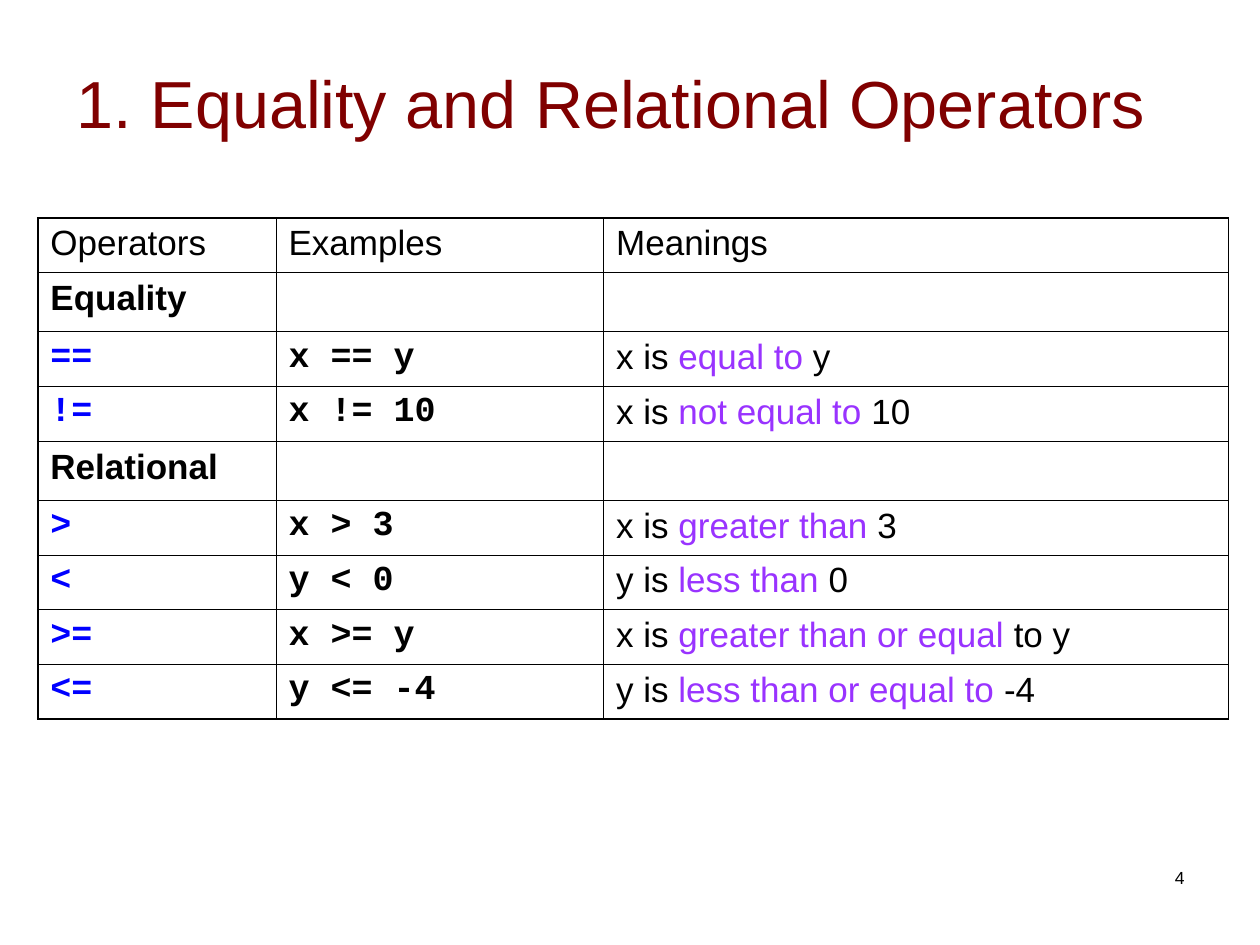
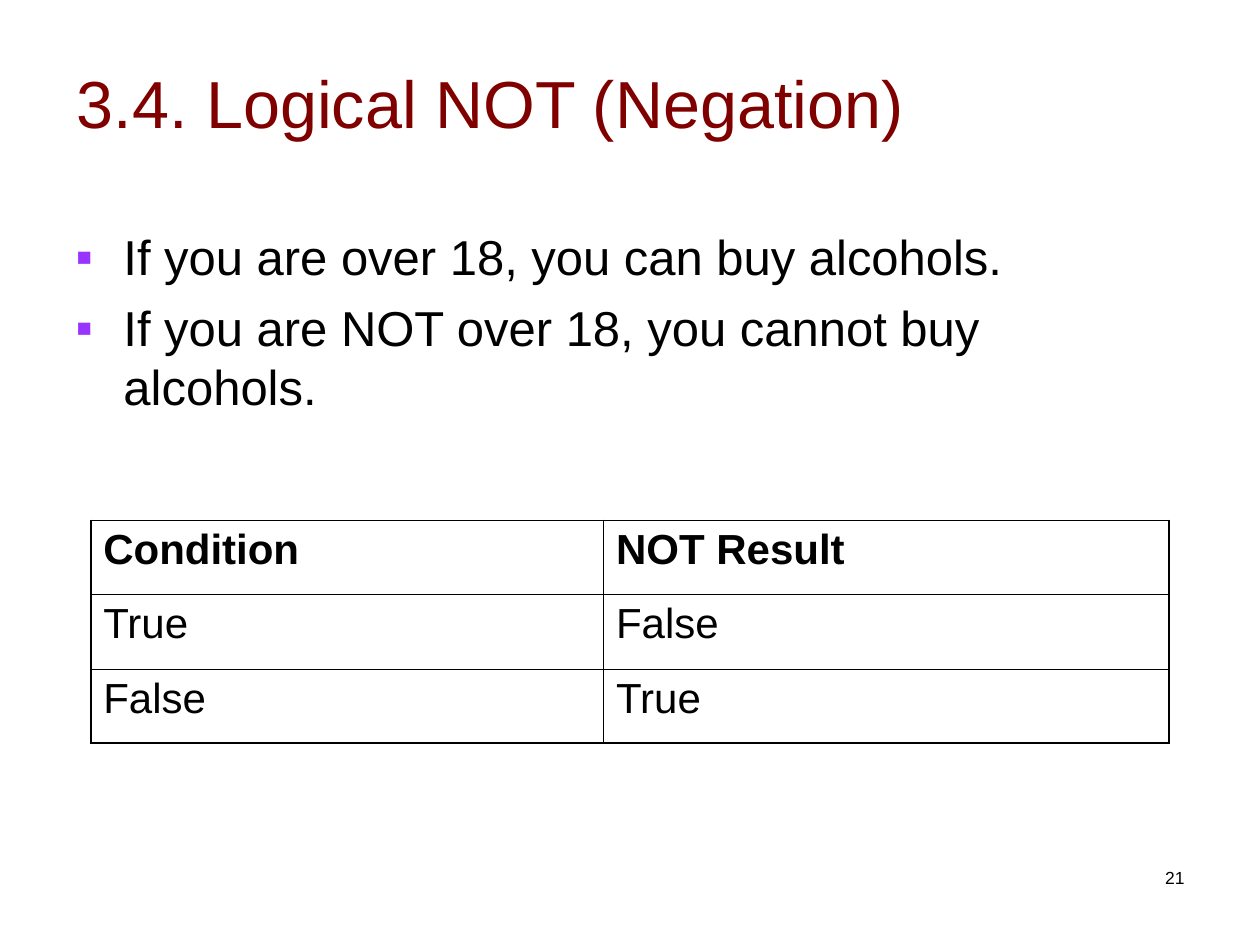
from lxml import etree
from pptx import Presentation
from pptx.dml.color import RGBColor
from pptx.enum.text import MSO_ANCHOR, MSO_AUTO_SIZE, PP_ALIGN
from pptx.oxml.ns import qn
from pptx.util import Inches, Pt

LEFT, RIGHT = PP_ALIGN.LEFT, PP_ALIGN.RIGHT
TOP, MIDDLE = MSO_ANCHOR.TOP, MSO_ANCHOR.MIDDLE
NO_AUTOFIT = MSO_AUTO_SIZE.NONE

COLORS = {
    "title": "800000",
    "text": "000000",
    "operator": "0000FF",
    "accent": "9933FF",
    "line": "000000",
}
SANS, MONO = "Arial", "Courier New"
OUTER, INNER = Pt(1.08), Pt(0.45)
TITLE_ONLY, TITLE_AND_BODY = 5, 1


def style(font, size, color="text", name=SANS, bold=False):
    font.name = name
    font.size = Pt(size)
    font.bold = bold
    font.color.rgb = RGBColor.from_string(COLORS[color])


def add_grid(page, left, top, widths, heights):
    frame = page.shapes.add_table(
        len(heights), len(widths), Inches(left), Inches(top),
        Inches(sum(widths)), Inches(sum(heights)))
    table = frame.table
    table.first_row = False
    table.horz_banding = False
    for column, width in zip(table.columns, widths):
        column.width = Inches(width)
    for row, height in zip(table.rows, heights):
        row.height = Inches(height)
    last_row, last_column = len(heights) - 1, len(widths) - 1
    for r in range(len(heights)):
        for c in range(len(widths)):
            cell = table.cell(r, c)
            cell.fill.background()
            edges = {"lnL": c == 0, "lnR": c == last_column,
                     "lnT": r == 0, "lnB": r == last_row}
            properties = cell._tc.get_or_add_tcPr()
            for position, (edge, is_outer) in enumerate(edges.items()):
                line = etree.Element(qn(f"a:{edge}"), w=str(OUTER if is_outer else INNER))
                fill = etree.SubElement(line, qn("a:solidFill"))
                etree.SubElement(fill, qn("a:srgbClr"), val=COLORS["line"])
                properties.insert(position, line)
    return table


deck = Presentation()
deck.slide_width, deck.slide_height = Inches(10), Inches(7.5)

pages = []
for layout, title, number in [
    (TITLE_ONLY, "1. Equality and Relational Operators", "4"),
    (TITLE_AND_BODY, "3.4. Logical NOT (Negation)", "21"),
]:
    page = deck.slides.add_slide(deck.slide_layouts[layout])
    pages.append(page)
    heading = page.shapes.title
    heading.left, heading.top = Inches(0.51), Inches(0.18)
    heading.width, heading.height = Inches(9), Inches(1.25)
    heading.text_frame.text = title
    heading.text_frame.auto_size = NO_AUTOFIT
    heading.text_frame.vertical_anchor = MIDDLE
    para = heading.text_frame.paragraphs[0]
    para.alignment = LEFT
    style(para.font, 38, "title")

    number_box = page.shapes.add_textbox(Inches(7.17), Inches(6.83), Inches(2.33), Inches(0.5))
    number_box.text_frame.word_wrap = True
    para = number_box.text_frame.paragraphs[0]
    para.text = number
    para.alignment = RIGHT
    style(para.font, 10)

operators_page, negation_page = pages

operator_rows = [
    ("Operators", "Examples", ["Meanings"]),
    ("Equality", "", []),
    ("==", "x == y", ["x is ", "equal to", " y"]),
    ("!=", "x != 10", ["x is ", "not equal to", " 10"]),
    ("Relational", "", []),
    (">", "x > 3", ["x is ", "greater than", " 3"]),
    ("<", "y < 0", ["y is", " less than", " 0"]),
    (">=", "x >= y", ["x is ", "greater than or equal", " to y"]),
    ("<=", "y <= -4", ["y is ", "less than or equal to", " -4"]),
]
row_heights = [0.43 if meaning else 0.47 for _, _, meaning in operator_rows]
operator_table = add_grid(operators_page, 0.3, 1.73, [1.89, 2.6, 4.96], row_heights)
for r, (operator, example, meaning) in enumerate(operator_rows):
    is_code = len(meaning) == 3
    name = MONO if is_code else SANS
    for c, text in enumerate([operator, example]):
        para = operator_table.cell(r, c).text_frame.paragraphs[0]
        para.text = text
        color = "operator" if is_code and c == 0 else "text"
        style(para.font, 20, color, name, bold=r > 0)
    para = operator_table.cell(r, 2).text_frame.paragraphs[0]
    style(para.font, 20)
    for position, text in enumerate(meaning):
        span = para.add_run()
        span.text = text
        style(span.font, 20, "accent" if position == 1 else "text")

body = negation_page.placeholders[1]
body.left, body.top = Inches(0.5), Inches(1.75)
body.width, body.height = Inches(9), Inches(2.2)
body.text_frame.text = (
    "If you are over 18, you can buy alcohols.\n"
    "If you are NOT over 18, you cannot buy alcohols.")
body.text_frame.auto_size = NO_AUTOFIT
body.text_frame.vertical_anchor = TOP
for position, para in enumerate(body.text_frame.paragraphs):
    properties = para._p.get_or_add_pPr()
    properties.set("marL", str(Inches(0.38)))
    properties.set("indent", str(Inches(-0.38)))
    bullet_color = etree.SubElement(properties, qn("a:buClr"))
    etree.SubElement(bullet_color, qn("a:srgbClr"), val=COLORS["accent"])
    etree.SubElement(properties, qn("a:buFont"), typeface=SANS)
    etree.SubElement(properties, qn("a:buChar"), char="▪")
    para.space_before = Pt(7 if position else 0)
    style(para.font, 28)

negation_rows = [("Condition", "NOT Result"), ("True", "False"), ("False", "True")]
negation_table = add_grid(negation_page, 0.72, 4.13, [4.07, 4.49], [0.59] * 3)
for r, row in enumerate(negation_rows):
    for c, text in enumerate(row):
        para = negation_table.cell(r, c).text_frame.paragraphs[0]
        para.text = text
        style(para.font, 24, bold=r == 0)

deck.save("out.pptx")
